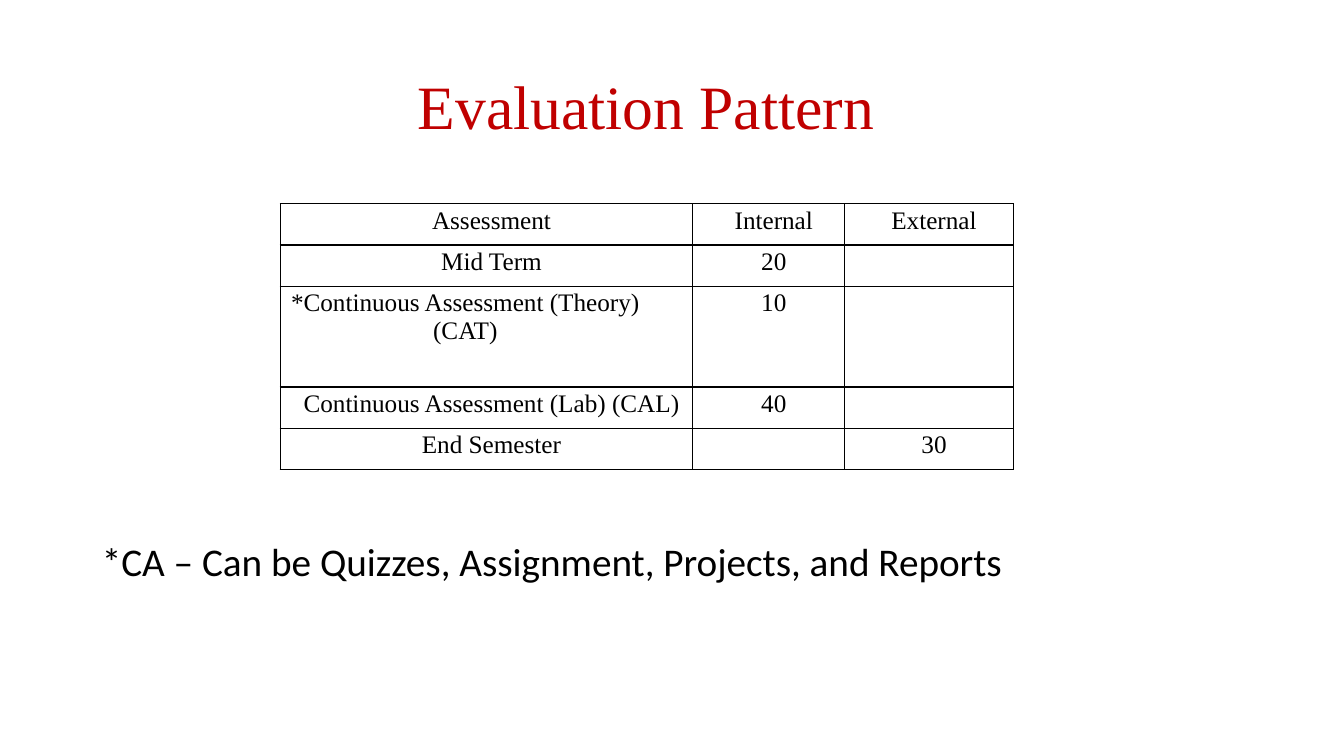
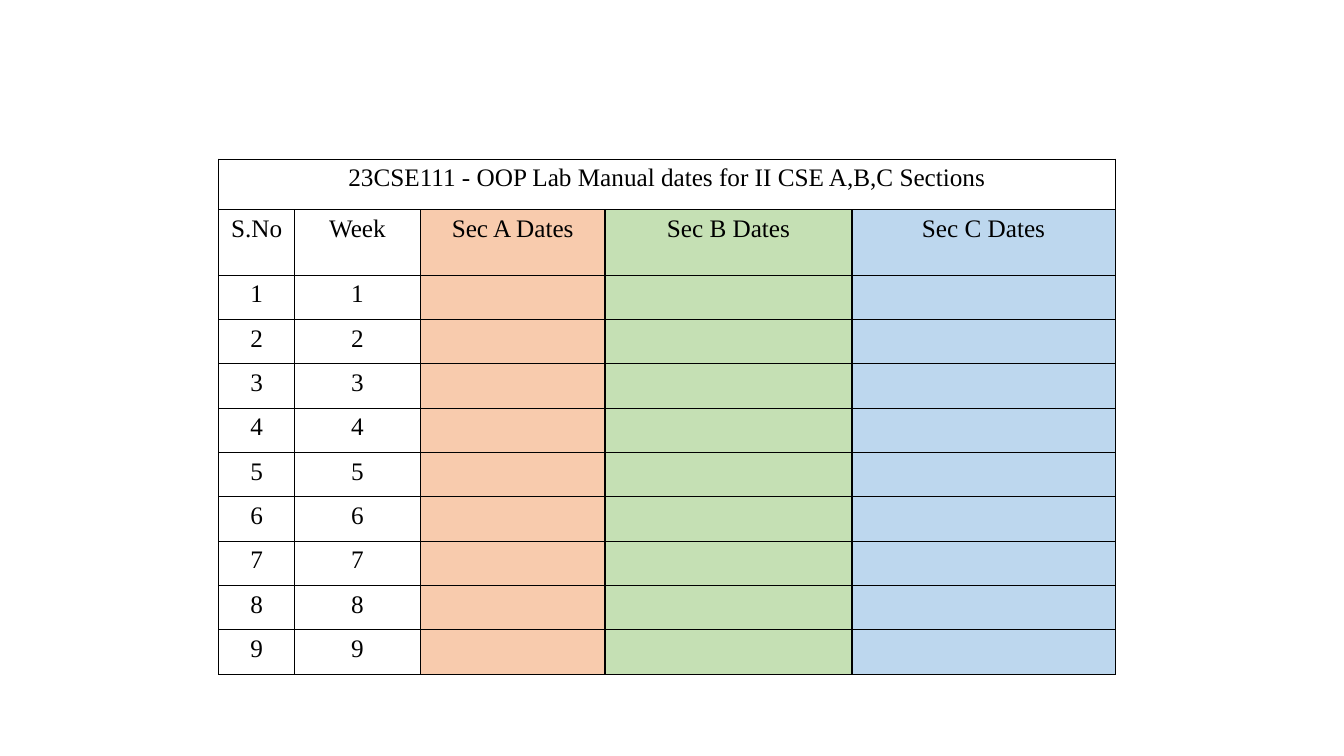
from dataclasses import dataclass

from lxml import etree
from pptx import Presentation
from pptx.dml.color import RGBColor
from pptx.enum.text import MSO_ANCHOR, MSO_AUTO_SIZE, PP_ALIGN
from pptx.oxml.ns import qn
from pptx.util import Inches, Pt

CENTER, LEFT = PP_ALIGN.CENTER, PP_ALIGN.LEFT
TOP, MIDDLE = MSO_ANCHOR.TOP, MSO_ANCHOR.MIDDLE
GROW = MSO_AUTO_SIZE.SHAPE_TO_FIT_TEXT
TITLE_ONLY, BLANK = 5, 6


@dataclass(frozen=True)
class Theme:
    ink: str = "000000"
    title_red: str = "C00000"
    section_a: str = "F8CBAD"
    section_b: str = "C5E0B4"
    section_c: str = "BDD7EE"
    serif: str = "Times New Roman"
    sans: str = "Calibri"
    title_size: int = 44
    note_size: int = 28
    cell_size: int = 18
    border_width: int = 1


THEME = Theme()


def style_paragraph(paragraph, font_name, size, color, align):
    paragraph.alignment = align
    font = paragraph.font
    font.name, font.size = font_name, Pt(size)
    font.color.rgb = RGBColor.from_string(color)


def fill_frame(frame, text, font_name, size, color, align, anchor):
    """Put one styled paragraph in a frame without side margins."""
    frame.word_wrap = True
    frame.auto_size = GROW
    frame.vertical_anchor = anchor
    frame.margin_left = frame.margin_right = frame.margin_bottom = 0
    frame.margin_top = Inches(0.01)
    frame.text = text
    style_paragraph(frame.paragraphs[0], font_name, size, color, align)


def add_title(slide, text, left, top, width, height):
    title = slide.shapes.title
    title.left, title.top = Inches(left), Inches(top)
    title.width, title.height = Inches(width), Inches(height)
    fill_frame(title.text_frame, text, THEME.serif, THEME.title_size,
               THEME.title_red, CENTER, MIDDLE)


def add_note(slide, text, left, top, width, height):
    note = slide.shapes.add_textbox(Inches(left), Inches(top),
                                    Inches(width), Inches(height))
    fill_frame(note.text_frame, text, THEME.sans, THEME.note_size,
               THEME.ink, LEFT, TOP)


def add_borders(cell):
    properties = cell._tc.get_or_add_tcPr()
    for side in ("a:lnL", "a:lnR", "a:lnT", "a:lnB"):
        line = etree.SubElement(properties, qn(side),
                                w=str(Pt(THEME.border_width)))
        solid = etree.SubElement(line, qn("a:solidFill"))
        etree.SubElement(solid, qn("a:srgbClr"), val=THEME.ink)


def add_grid(slide, left, top, widths, heights, rows, margins, column_fills=None):
    """Draw a bordered table; margins are left, top, right, bottom."""
    grid = slide.shapes.add_table(
        len(heights), len(widths), Inches(left), Inches(top),
        Inches(sum(widths)), Inches(sum(heights))).table
    grid.first_row = grid.horz_banding = False
    for column, width in zip(grid.columns, widths):
        column.width = Inches(width)
    for row, height in zip(grid.rows, heights):
        row.height = Inches(height)

    fills = column_fills or [None] * len(widths)
    for row, texts in zip(grid.rows, rows):
        for cell, text, fill in zip(row.cells, texts, fills):
            (cell.margin_left, cell.margin_top,
             cell.margin_right, cell.margin_bottom) = map(Inches, margins)
            add_borders(cell)
            if fill:
                cell.fill.solid()
                cell.fill.fore_color.rgb = RGBColor.from_string(fill)
            else:
                cell.fill.background()
            cell.text = text
            style_paragraph(cell.text_frame.paragraphs[0], THEME.serif,
                            THEME.cell_size, THEME.ink, CENTER)
    return grid


def add_evaluation_slide(prs):
    slide = prs.slides.add_slide(prs.slide_layouts[TITLE_ONLY])
    add_title(slide, "Evaluation Pattern", 3.58, 0.66, 5.66, 0.76)
    add_note(slide, "*CA – Can be Quizzes, Assignment, Projects, and Reports",
             1.01, 5.32, 8.97, 0.49)
    assessments = [
        ("Assessment", "Internal", "External"),
        ("Mid Term", "20", ""),
        ("*Continuous Assessment (Theory) (CAT)", "10", ""),
        ("Continuous Assessment (Lab) (CAL)", "40", ""),
        ("End Semester", "", "30"),
    ]
    marks = add_grid(slide, 2.78, 2.02, [4.09, 1.51, 1.67],
                     [0.41, 0.41, 1, 0.41, 0.41], assessments,
                     margins=(0.1, 0.03, 0, 0))
    # The wider right margin moves (CAT) to a second line
    marks.cell(2, 0).margin_right = Inches(0.52)


def add_lab_dates_slide(prs):
    slide = prs.slides.add_slide(prs.slide_layouts[BLANK])
    weeks = [str(week) for week in range(1, 10)]
    rows = [
        ("23CSE111 - OOP Lab Manual dates for II CSE A,B,C Sections",
         "", "", "", ""),
        ("S.No", "Week", "Sec A Dates", "Sec B Dates", "Sec C Dates"),
        *[(week, week, "", "", "") for week in weeks],
    ]
    section_fills = [None, None, THEME.section_a, THEME.section_b,
                     THEME.section_c]
    dates = add_grid(slide, 2.17, 1.58, [0.75, 1.25, 1.83, 2.45, 2.61],
                     [0.5, 0.65] + [0.44] * len(weeks), rows,
                     margins=(0.1, 0.05, 0.1, 0.05),
                     column_fills=section_fills)
    # Heading across all columns
    heading = dates.cell(0, 0)
    heading.merge(dates.cell(0, len(section_fills) - 1))
    for column in range(len(section_fills)):
        dates.cell(0, column).fill.background()


def main():
    prs = Presentation()
    prs.slide_width, prs.slide_height = Inches(13.33), Inches(7.5)
    add_evaluation_slide(prs)
    add_lab_dates_slide(prs)
    prs.save("out.pptx")


if __name__ == "__main__":
    main()
